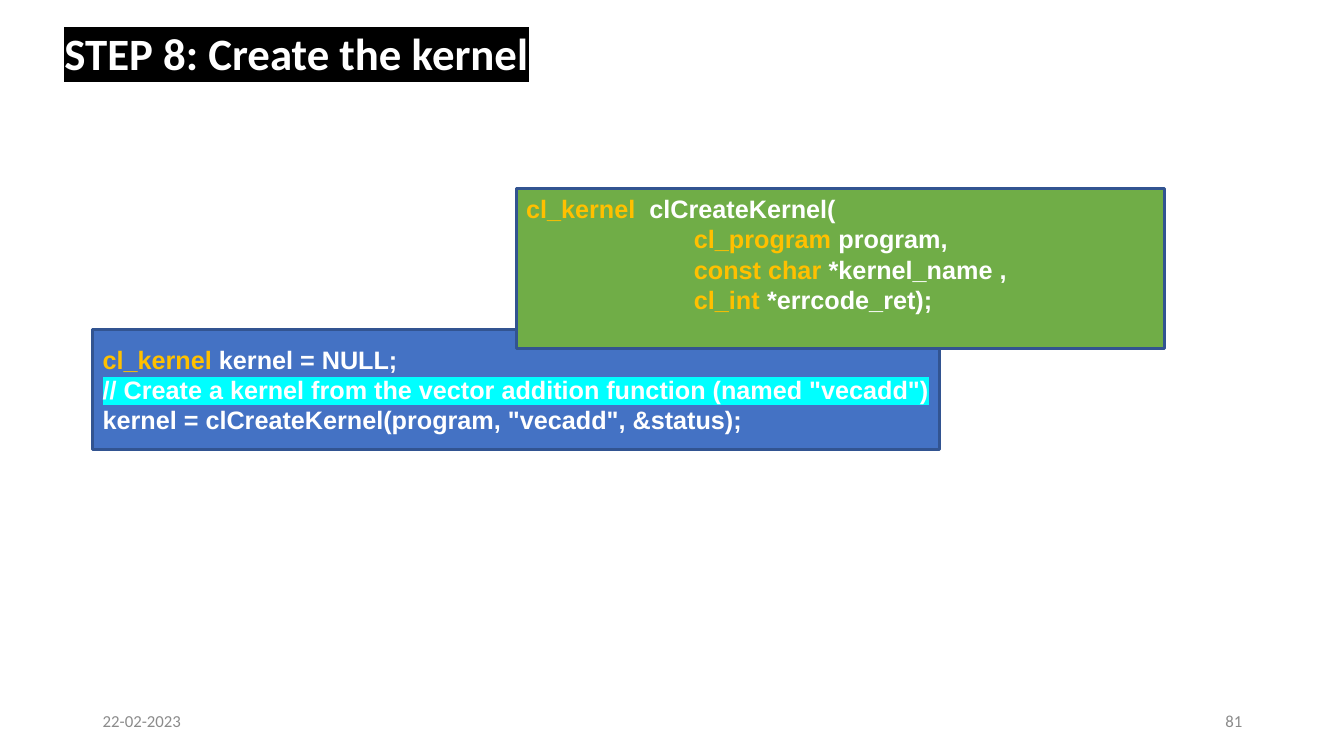
from lxml.etree import SubElement
from pptx import Presentation
from pptx.dml.color import RGBColor
from pptx.enum.shapes import MSO_SHAPE as Shape
from pptx.enum.text import MSO_ANCHOR as Anchor, PP_ALIGN as Align
from pptx.oxml import parse_xml
from pptx.oxml.ns import nsdecls, qn
from pptx.util import Inches, Pt

WHITE, TYPE_COLOR, GREY, OUTLINE = "FFFFFF", "FFC000", "8B8B8B", "325491"
BLUE, GREEN, CYAN, BLACK = "4472C4", "70AD47", "00FFFF", "000000"
INDENT = " " * 24
LINE_HEIGHT = 0.29


def color(value):
    """Return the colour for a hex string."""
    return RGBColor.from_string(value)


def format_run(run, size, font, fill, bold=False, highlight=None):
    """Set the font of a run and its optional highlight."""
    run.font.name = font
    run.font.size = Pt(size)
    run.font.bold = bold
    run.font.color.rgb = color(fill)
    if highlight:
        marker = parse_xml(
            f'<a:highlight {nsdecls("a")}><a:srgbClr val="{highlight}"/></a:highlight>'
        )
        run.font._element.find(qn("a:solidFill")).addnext(marker)


def add_label(slide, box, text, size, fill, align=Align.LEFT, **style):
    """Add a one-line text box and return its paragraph."""
    shape = slide.shapes.add_textbox(*map(Inches, box))
    frame = shape.text_frame
    frame.word_wrap = True
    frame.vertical_anchor = Anchor.MIDDLE
    frame.text = text
    paragraph = frame.paragraphs[0]
    paragraph.alignment = align
    for run in paragraph.runs:
        format_run(run, size, "Calibri", fill, **style)
    return paragraph


def add_title(slide, text, band_width):
    """Add the title on a highlighted band that ends at a tab stop."""
    paragraph = add_label(slide, (0.54, 0.14, 11.5, 0.82), text + "\t", 32, WHITE,
                          bold=True, highlight=BLACK)
    tabs = SubElement(paragraph._p.get_or_add_pPr(), qn("a:tabLst"))
    SubElement(tabs, qn("a:tab"), pos=str(Inches(band_width)), algn="l")
    paragraph.line_spacing = 0.9


def add_code_box(slide, box, fill, lines, space_below=0):
    """Add a filled box with lines of (text, colour, highlight) runs."""
    shape = slide.shapes.add_shape(Shape.RECTANGLE, *map(Inches, box))
    shape.shadow.inherit = False
    shape.fill.solid()
    shape.fill.fore_color.rgb = color(fill)
    shape.line.color.rgb = color(OUTLINE)
    shape.line.width = Pt(2)
    frame = shape.text_frame
    frame.word_wrap = True
    frame.vertical_anchor = Anchor.MIDDLE
    frame.margin_bottom = Inches(0.05 + space_below)
    for index, line in enumerate(lines):
        paragraph = frame.add_paragraph() if index else frame.paragraphs[0]
        paragraph.alignment = Align.LEFT
        for text, text_color, highlight in line:
            run = paragraph.add_run()
            run.text = text
            format_run(run, 18, "Arial", text_color, True, highlight)


def declare(type_name, rest):
    """Return the runs of a line that starts with a type name."""
    return [(type_name, TYPE_COLOR, None), (rest, WHITE, None)]


def main():
    """Build and save the slide."""
    presentation = Presentation()
    presentation.slide_width = Inches(13.33)
    presentation.slide_height = Inches(7.5)
    slide = presentation.slides.add_slide(presentation.slide_layouts[6])

    add_label(slide, (0.92, 6.95, 3, 0.4), "22-02-2023", 12, GREY)
    add_label(slide, (9.42, 6.95, 3, 0.4), "81", 12, GREY, Align.RIGHT)
    add_title(slide, "STEP 8: Create the kernel", 4.91)

    usage = [
        declare("cl_kernel ", "kernel = NULL;"),
        [('// Create a kernel from the vector addition function (named "vecadd") ',
          WHITE, CYAN),
         ('kernel = clCreateKernel(program, "vecadd", &status);', WHITE, None)],
    ]
    add_code_box(slide, (0.92, 3.27, 8.4, 1.19), BLUE, usage)

    parameters = [
        ("cl_program ", "program,"),
        ("const char ", "*kernel_name ,"),
        ("cl_int ", "*errcode_ret);"),
    ]
    signature = [declare("cl_kernel  ", "clCreateKernel(")]
    signature += [declare(INDENT + kind, name) for kind, name in parameters]
    add_code_box(slide, (5.12, 1.87, 6.43, 1.59), GREEN, signature, LINE_HEIGHT)

    presentation.save("out.pptx")


if __name__ == "__main__":
    main()
